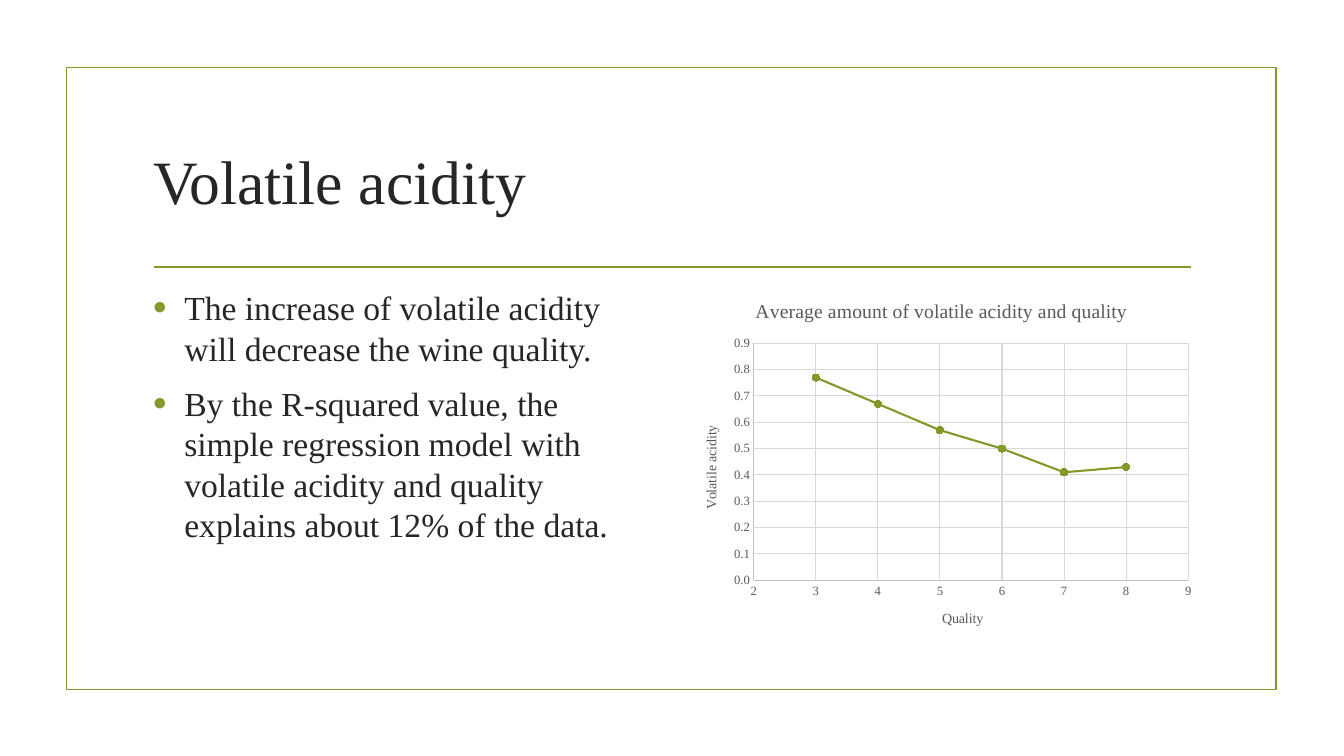
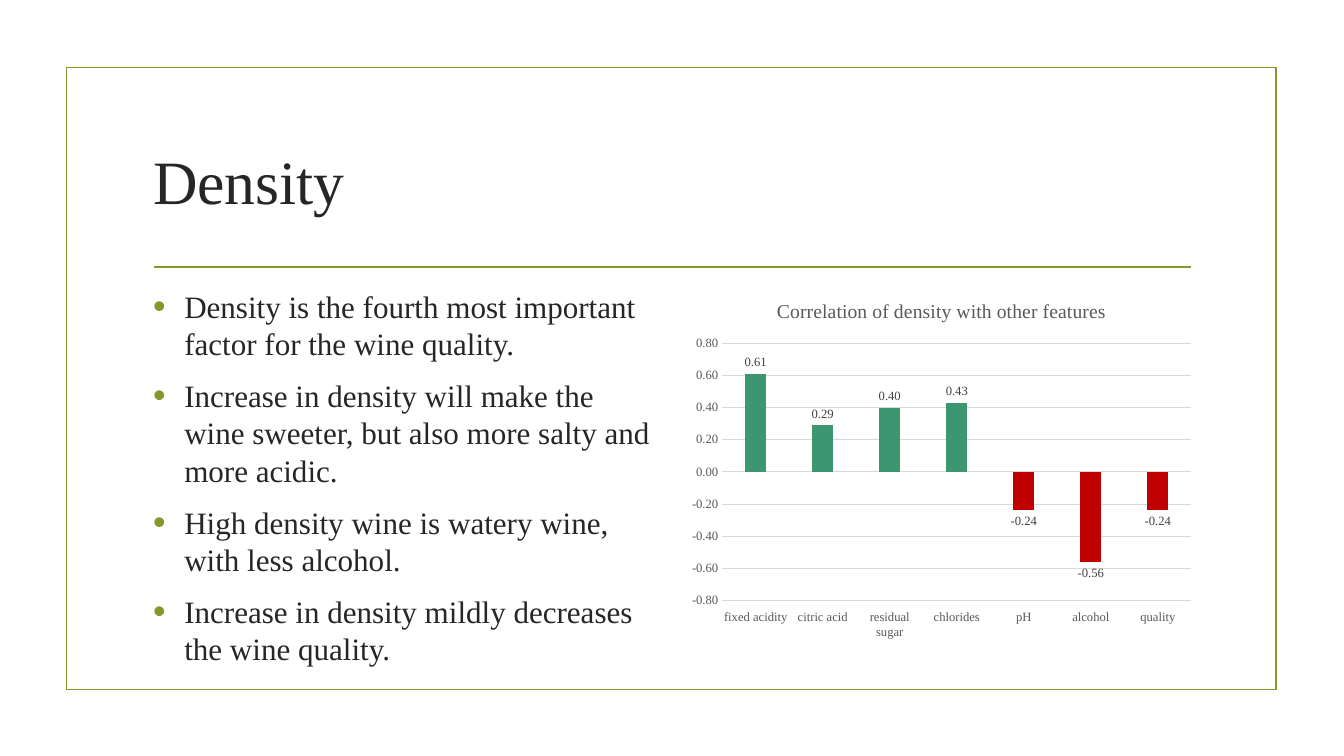
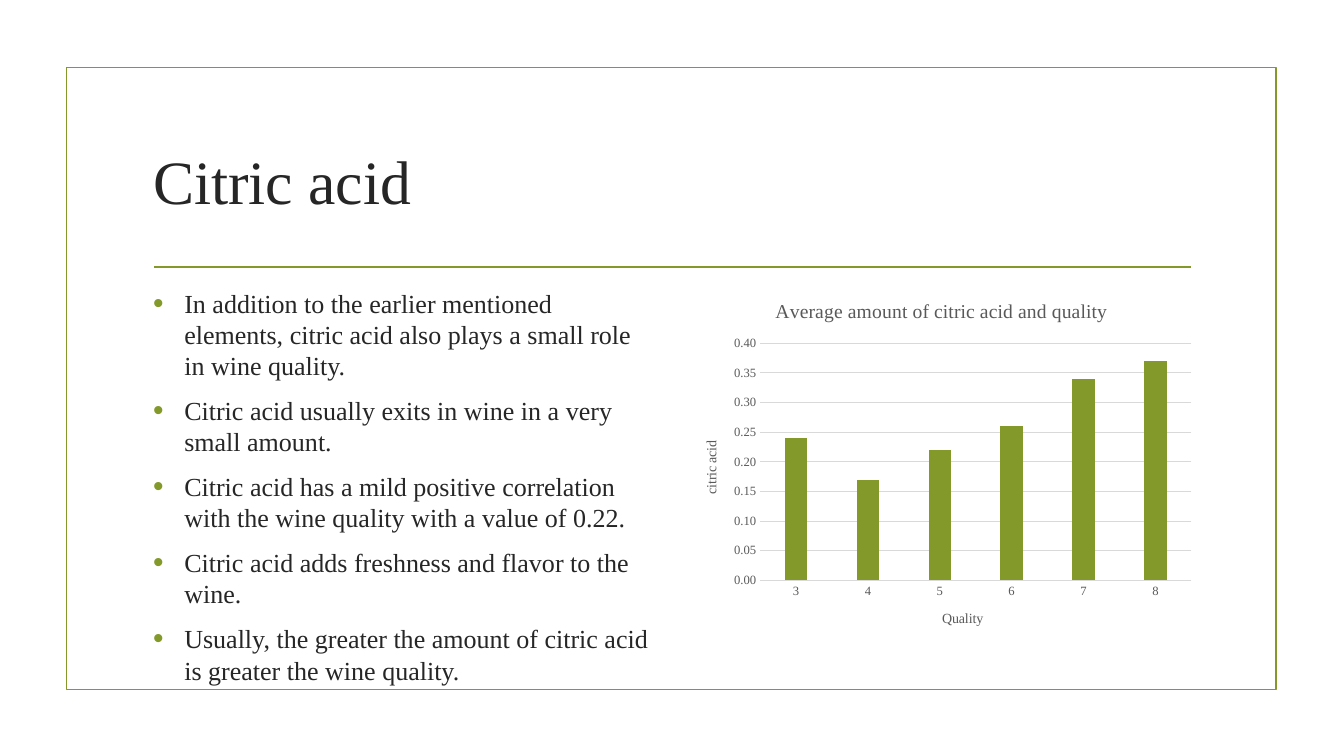
from lxml.etree import SubElement
from pptx import Presentation
from pptx.chart.data import CategoryChartData, XyChartData
from pptx.dml.color import RGBColor
from pptx.enum.chart import (XL_CHART_TYPE, XL_LABEL_POSITION, XL_MARKER_STYLE,
                             XL_TICK_LABEL_POSITION, XL_TICK_MARK)
from pptx.enum.shapes import MSO_CONNECTOR, MSO_SHAPE
from pptx.enum.text import MSO_ANCHOR
from pptx.oxml.ns import qn
from pptx.util import Inches, Pt

OLIVE, GREEN, RED = "83992A", "3C9770", "C00000"
INK, GRAY, LABEL = "262626", "595959", "404040"
GRID, AXIS = "D9D9D9", "BFBFBF"


def color(hex_code):
    return RGBColor.from_string(hex_code)


def style(font, size, hex_code):
    values = {"name": "Times New Roman", "size": Pt(size), "bold": False}
    for attribute, value in values.items():
        setattr(font, attribute, value)
    font.color.rgb = color(hex_code)


topics = [
    {
        "title": "Volatile acidity",
        "size": 24,
        "points": [
            "The increase of volatile acidity will decrease the wine quality.",
            "By the R-squared value, the simple regression model with volatile acidity "
            "and quality explains about 12% of the data.",
        ],
        "kind": XL_CHART_TYPE.XY_SCATTER_LINES,
        "chart_title": "Average amount of volatile acidity and quality",
        "axis_titles": ["Quality", "Volatile acidity"],
        "categories": [3, 4, 5, 6, 7, 8],
        "values": [0.77, 0.67, 0.57, 0.5, 0.41, 0.43],
        "scale": (0, 0.9, 0.1),
        "number_format": "0.0",
    },
    {
        "title": "Density",
        "size": 22.2,
        "points": [
            "Density is the fourth most important factor for the wine quality.",
            "Increase in density will make the wine sweeter, but also more salty and "
            "more acidic.",
            "High density wine is watery wine, with less alcohol.",
            "Increase in density mildly decreases the wine quality.",
        ],
        "kind": XL_CHART_TYPE.COLUMN_CLUSTERED,
        "chart_title": "Correlation of density with other features",
        "axis_titles": [],
        "categories": ["fixed acidity", "citric acid", "residual sugar", "chlorides",
                       "pH", "alcohol", "quality"],
        "values": [0.61, 0.29, 0.4, 0.43, -0.24, -0.56, -0.24],
        "scale": (-0.8, 0.8, 0.2),
        "number_format": "0.00",
    },
    {
        "title": "Citric acid",
        "size": 18.6,
        "points": [
            "In addition to the earlier mentioned elements, citric acid also plays a "
            "small role in wine quality.",
            "Citric acid usually exits in wine in a very small amount.",
            "Citric acid has a mild positive correlation with the wine quality with a "
            "value of 0.22.",
            "Citric acid adds freshness and flavor to the wine.",
            "Usually, the greater the amount of citric acid is greater the wine quality.",
        ],
        "kind": XL_CHART_TYPE.COLUMN_CLUSTERED,
        "chart_title": "Average amount of citric acid and quality",
        "axis_titles": ["Quality", "citric acid"],
        "categories": ["3", "4", "5", "6", "7", "8"],
        "values": [0.24, 0.17, 0.22, 0.26, 0.34, 0.37],
        "scale": (0, 0.4, 0.05),
        "number_format": "0.00",
    },
]

deck = Presentation()
deck.slide_width, deck.slide_height = Inches(13.33), Inches(7.5)

for topic in topics:
    slide = deck.slides.add_slide(deck.slide_layouts[6])

    border = slide.shapes.add_shape(MSO_SHAPE.RECTANGLE, Inches(0.66), Inches(0.67),
                                    Inches(12), Inches(6.17))
    border.shadow.inherit = False
    border.fill.background()
    rule = slide.shapes.add_connector(MSO_CONNECTOR.STRAIGHT, Inches(1.53), Inches(2.65),
                                      Inches(11.81), Inches(2.65))
    for stroke in (border.line, rule.line):
        stroke.color.rgb = color(OLIVE)
        stroke.width = Pt(1.25)
    SubElement(rule._element.spPr, qn("a:effectLst"))

    heading = slide.shapes.add_textbox(Inches(1.42), Inches(1.07), Inches(10.5),
                                       Inches(1.43)).text_frame
    heading.word_wrap = True
    heading.vertical_anchor = MSO_ANCHOR.MIDDLE
    heading.text = topic["title"]
    style(heading.paragraphs[0].runs[0].font, 44, INK)

    body = slide.shapes.add_textbox(Inches(1.42), Inches(2.8), Inches(5.16),
                                    Inches(3.62)).text_frame
    body.word_wrap = True
    for index, point in enumerate(topic["points"]):
        paragraph = body.add_paragraph() if index else body.paragraphs[0]
        properties = paragraph._p.get_or_add_pPr()
        properties.set("marL", str(Inches(0.31)))
        properties.set("indent", str(Inches(-0.31)))
        bullet_color = SubElement(properties, qn("a:buClr"))
        SubElement(bullet_color, qn("a:srgbClr"), val=OLIVE)
        SubElement(properties, qn("a:buSzPct"), val="115000")
        SubElement(properties, qn("a:buFont"), typeface="Arial")
        SubElement(properties, qn("a:buChar"), char="•")
        paragraph.line_spacing = 1.0
        paragraph.space_before = Pt(topic["size"] * 0.2 if index else 0)
        paragraph.space_after = Pt(6)
        run = paragraph.add_run()
        run.text = point
        style(run.font, topic["size"], INK)

    scatter = topic["kind"] == XL_CHART_TYPE.XY_SCATTER_LINES
    if scatter:
        data = XyChartData()
        pairs = data.add_series("Series 1")
        for x, y in zip(topic["categories"], topic["values"]):
            pairs.add_data_point(x, y)
    else:
        data = CategoryChartData()
        data.categories = topic["categories"]
        data.add_series("Series 1", topic["values"])

    chart = slide.shapes.add_chart(topic["kind"], Inches(6.76), Inches(2.8),
                                   Inches(5.16), Inches(3.62), data).chart
    style(chart.font, 10, "000000")
    chart.has_legend = False
    chart.chart_title.text_frame.text = topic["chart_title"]
    chart.chart_title.include_in_layout = False
    style(chart.chart_title.text_frame.paragraphs[0].runs[0].font, 14, GRAY)

    across, upward = chart.category_axis, chart.value_axis
    for axis in (across, upward):
        axis.major_tick_mark = axis.minor_tick_mark = XL_TICK_MARK.NONE
        style(axis.tick_labels.font, 9, GRAY)
        axis.format.line.color.rgb = color(AXIS if scatter else GRID)
        axis.format.line.width = Pt(0.75)
        axis.has_major_gridlines = scatter or axis is upward
        if axis.has_major_gridlines:
            axis.major_gridlines.format.line.color.rgb = color(GRID)
            axis.major_gridlines.format.line.width = Pt(0.75)
    for axis, name in zip((across, upward), topic["axis_titles"]):
        axis.axis_title.text_frame.text = name
        style(axis.axis_title.text_frame.paragraphs[0].runs[0].font, 10, GRAY)
    upward.minimum_scale, upward.maximum_scale, upward.major_unit = topic["scale"]
    upward.tick_labels.number_format = topic["number_format"]
    upward.tick_labels.number_format_is_linked = False

    plot = chart.plots[0]
    plot.vary_by_categories = False
    series = plot.series[0]
    if scatter:
        across.minimum_scale, across.maximum_scale, across.major_unit = 2, 9, 1
        series.smooth = False
        series.format.line.color.rgb = color(OLIVE)
        series.format.line.width = Pt(1.5)
        series.marker.style = XL_MARKER_STYLE.CIRCLE
        series.marker.size = 5
        series.marker.format.fill.solid()
        series.marker.format.fill.fore_color.rgb = color(OLIVE)
        series.marker.format.line.color.rgb = color(OLIVE)
    else:
        upward.format.line.fill.background()
        plot.gap_width, plot.overlap = 219, -27
        series.invert_if_negative = False
        series.format.fill.solid()
        series.format.fill.fore_color.rgb = color(OLIVE)

    if topic["title"] == "Density":
        across.tick_label_position = XL_TICK_LABEL_POSITION.LOW
        for index, value in enumerate(topic["values"]):
            bar = series.points[index].format.fill
            bar.solid()
            bar.fore_color.rgb = color(GREEN if value > 0 else RED)
        labels = series.data_labels
        label_format = {"show_value": True, "position": XL_LABEL_POSITION.OUTSIDE_END,
                        "number_format": "0.00", "number_format_is_linked": False}
        for attribute, value in label_format.items():
            setattr(labels, attribute, value)
        style(labels.font, 9, LABEL)

deck.save("out.pptx")
